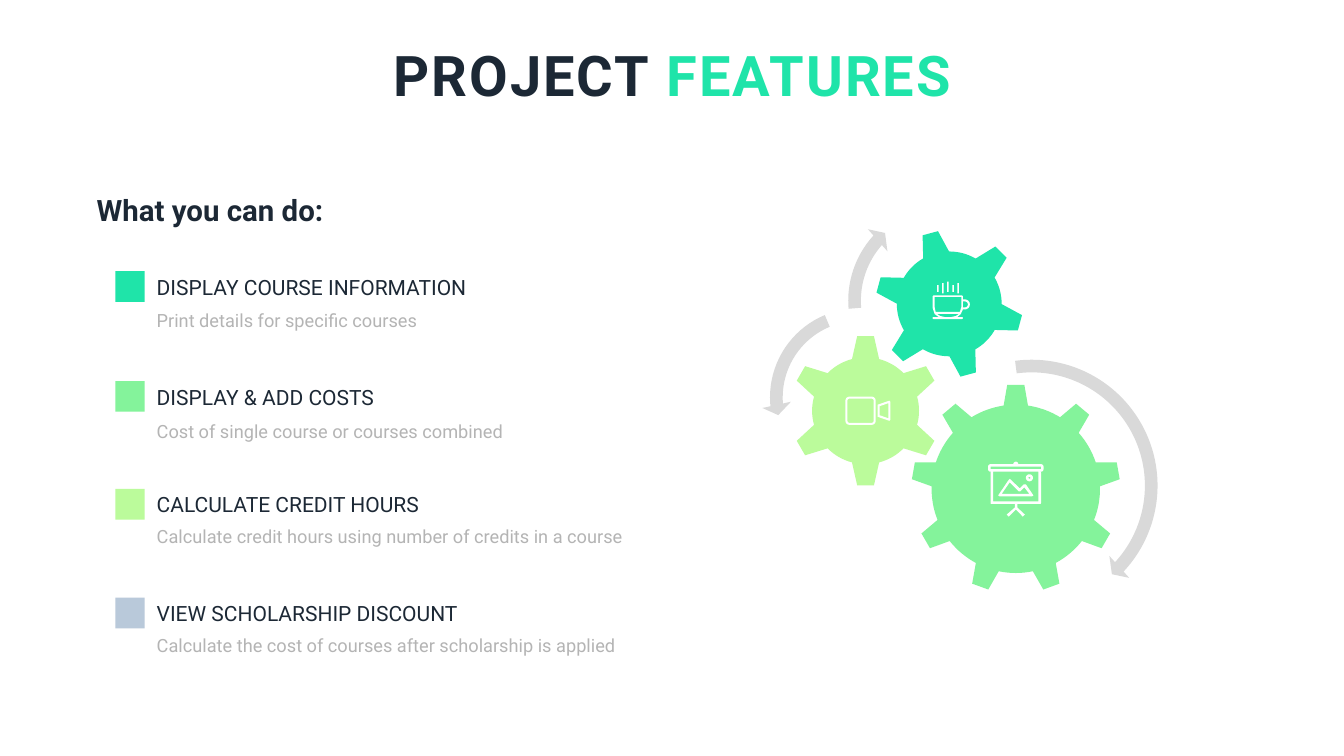
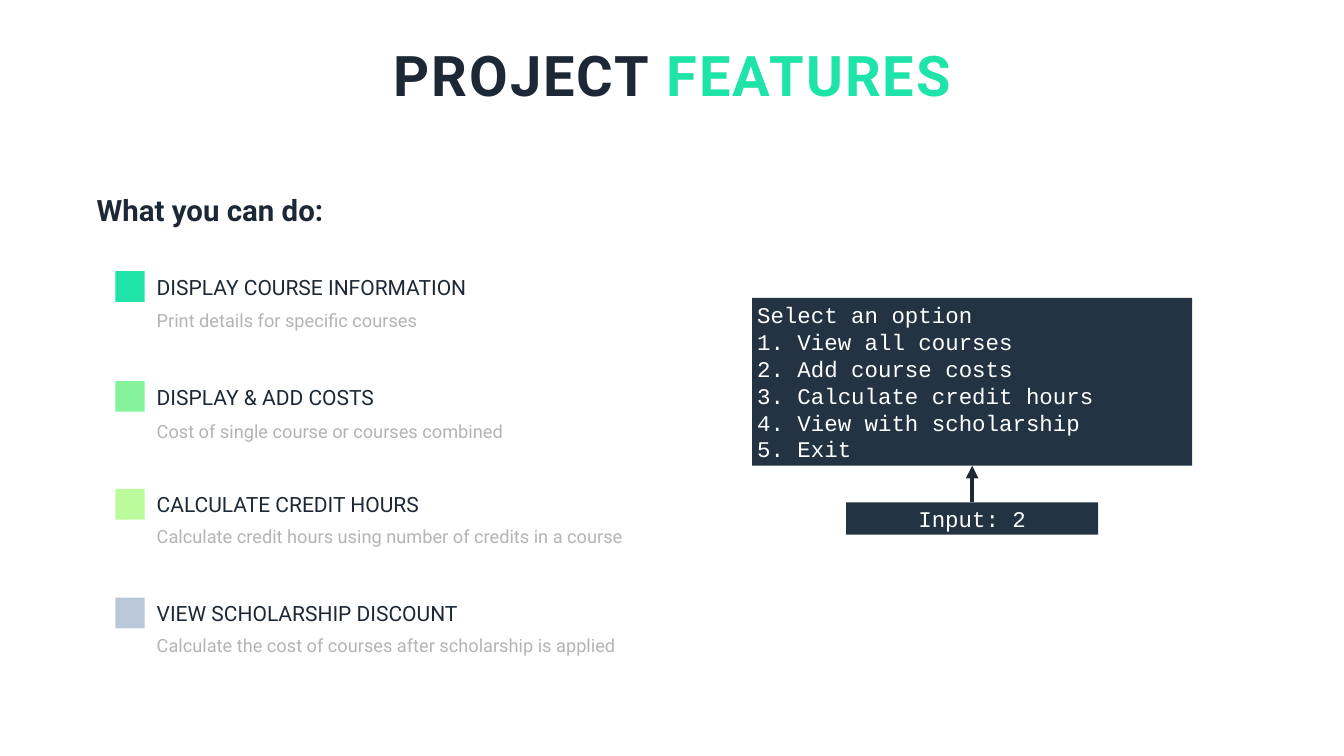
import math
from dataclasses import dataclass

import lxml.etree
import pptx
import pptx.dml.color
import pptx.enum.shapes
import pptx.enum.text
import pptx.oxml.ns
import pptx.util

Inches = pptx.util.Inches
Pt = pptx.util.Pt
SHAPES = pptx.enum.shapes.MSO_SHAPE
ALIGN = pptx.enum.text.PP_ALIGN
ANCHOR = pptx.enum.text.MSO_ANCHOR


@dataclass(frozen=True)
class Theme:
    font: str = "Roboto"
    code_font: str = "Courier New"
    ink: str = "1C2835"
    panel: str = "233343"
    teal: str = "1FE4A9"
    green: str = "84F39B"
    lime: str = "BBFB9B"
    steel: str = "B9C9DA"
    muted: str = "B4B4B4"
    arrow: str = "D9D9D9"
    white: str = "FFFFFF"
    title_size: int = 80
    heading_size: int = 42
    code_size: int = 32
    label_size: int = 30
    detail_size: int = 26


THEME = Theme()

# colour, label, label width, detail, top, gap from label to detail
FEATURES = [
    (THEME.teal, "DISPLAY COURSE INFORMATION", 6.44,
     "Print details for specific courses", 5.38, 0.52),
    (THEME.green, "DISPLAY & ADD COSTS", 4.57,
     "Cost of single course or courses combined", 7.56, 0.55),
    (THEME.lime, "CALCULATE CREDIT HOURS", 5.51,
     "Calculate credit hours using number of credits in a course", 9.7, 0.49),
    (THEME.steel, "VIEW SCHOLARSHIP DISCOUNT", 6.23,
     "Calculate the cost of courses after scholarship is applied", 11.86, 0.49),
]

MENU = ["Select an option", "1. View all courses", "2. Add course costs",
        "3. Calculate credit hours", "4. View with scholarship", "5. Exit"]


# ---- Shared helpers ----

def rgb(color):
    return pptx.dml.color.RGBColor.from_string(color)


def write_text(shape, lines, *, size, color=THEME.ink, font=THEME.font, bold=False,
               align=ALIGN.LEFT, anchor=ANCHOR.TOP, wrap=True, margins=True,
               line_points=None, spacing=None):
    """Each line is a string or a list of (text, color) runs."""
    frame = shape.text_frame
    frame.word_wrap = wrap
    frame.auto_size = pptx.enum.text.MSO_AUTO_SIZE.NONE
    frame.vertical_anchor = anchor
    if not margins:
        frame.margin_left = frame.margin_right = 0
        frame.margin_top = frame.margin_bottom = 0
    for index, line in enumerate(lines):
        paragraph = frame.paragraphs[0] if index == 0 else frame.add_paragraph()
        paragraph.alignment = align
        if line_points:
            paragraph.line_spacing = Pt(line_points)
        runs = [(line, color)] if isinstance(line, str) else line
        for text, run_color in runs:
            run = paragraph.add_run()
            run.text = text
            run.font.size = Pt(size)
            run.font.name = font
            run.font.bold = bold
            run.font.color.rgb = rgb(run_color)
            if spacing:
                run.font._element.set("spc", str(spacing * 100))


def add_text(slide, box, lines, **text_format):
    shape = slide.shapes.add_textbox(*map(Inches, box))
    write_text(shape, lines, **text_format)


def paint(shape, color):
    shape.shadow.inherit = False
    shape.fill.solid()
    shape.fill.fore_color.rgb = rgb(color)
    shape.line.fill.background()


def add_preset(shapes, kind, box, color):
    shape = shapes.add_shape(kind, *map(Inches, box))
    paint(shape, color)
    return shape


def add_outline(shapes, contours, left, top, color):
    """One filled freeform; a contour inside another cuts a hole."""
    contours = [[(round((left + x) * 1000), round((top + y) * 1000)) for x, y in contour]
                for contour in contours]
    builder = shapes.build_freeform(*contours[0][0], scale=Inches(1) / 1000)
    for index, contour in enumerate(contours):
        if index:
            builder.move_to(*contour[0])
        builder.add_line_segments(contour[1:], close=True)
    paint(builder.convert_to_shape(), color)


# ---- Contours, in inches ----

def arc(x, y, radius, start, end, steps=8):
    angles = [math.radians(start + (end - start) * i / steps) for i in range(steps + 1)]
    return [(x + radius * math.cos(a), y + radius * math.sin(a)) for a in angles]


def block(left, top, width, height, radius=0.0):
    right, bottom = left + width, top + height
    if not radius:
        return [(left, top), (right, top), (right, bottom), (left, bottom)]
    corners = [(right - radius, bottom - radius), (left + radius, bottom - radius),
               (left + radius, top + radius), (right - radius, top + radius)]
    return [point for i, (x, y) in enumerate(corners)
            for point in arc(x, y, radius, 90 * i, 90 * i + 90)]


def gear(teeth, first, body, tip, body_half, tip_half):
    """Teeth at equal angles, joined by arcs of the body; centre at 0, 0."""
    step = 360 / teeth
    points = []
    for i in range(teeth):
        middle = first + i * step
        points += arc(0, 0, tip, middle - tip_half, middle + tip_half, 1)
        points += arc(0, 0, body, middle + body_half, middle + step - body_half)
    return [points]


def camera_icon():
    return [
        block(0, 0, 0.6, 0.56, 0.08), block(0.04, 0.04, 0.52, 0.48, 0.04),
        [(0.64, 0.16), (0.87, 0.08), (0.89, 0.1), (0.89, 0.46), (0.87, 0.48), (0.64, 0.4)],
        [(0.68, 0.19), (0.85, 0.13), (0.85, 0.43), (0.68, 0.37)],
    ]


def easel_icon():
    return [
        # Knob, rail and board
        arc(0.55, 0.05, 0.05, 180, 360),
        block(0, 0.05, 1.1, 0.15, 0.05), block(0.05, 0.1, 1, 0.05),
        block(0.05, 0.2, 1, 0.64, 0.02), block(0.1, 0.2, 0.9, 0.59),
        # Legs
        [(0.53, 0.84), (0.53, 0.91), (0.37, 1.05), (0.41, 1.09), (0.55, 0.95),
         (0.69, 1.09), (0.73, 1.05), (0.58, 0.91), (0.58, 0.84)],
        # Sun and mountains
        arc(0.82, 0.32, 0.07, 0, 360, 24), arc(0.82, 0.32, 0.02, 0, 360, 12),
        [(0.2, 0.67), (0.41, 0.36), (0.43, 0.34), (0.63, 0.53), (0.71, 0.45),
         (0.75, 0.45), (0.9, 0.67), (0.87, 0.69), (0.23, 0.69)],
        [(0.27, 0.64), (0.43, 0.41), (0.61, 0.59), (0.64, 0.59), (0.72, 0.51), (0.82, 0.64)],
    ]


def cup_icon():
    steam = [(0.07, 0.2), (0.03, 0.23), (0, 0.2), (0.07, 0.2), (0.03, 0.23)]
    bars = [block(0.09 + 0.1 * i, top, 0.03, bottom - top)
            for i, (top, bottom) in enumerate(steam)]
    return bars + [
        # Body with its two openings
        [(0, 0.29), (0.02, 0.27), (0.58, 0.27), (0.6, 0.29), (0.6, 0.55),
         (0.56, 0.64), (0.49, 0.7), (0.12, 0.7), (0.04, 0.64), (0, 0.52)],
        [(0.04, 0.3), (0.57, 0.3), (0.57, 0.5), (0.54, 0.6), (0.06, 0.6), (0.04, 0.5)],
        [(0.09, 0.64), (0.52, 0.64), (0.46, 0.68), (0.37, 0.7), (0.24, 0.7), (0.15, 0.68)],
        # Handle and saucer
        [(0.6, 0.35)] + arc(0.64, 0.45, 0.1, -90, 90) + [(0.6, 0.55)],
        [(0.6, 0.39)] + arc(0.64, 0.45, 0.06, -90, 90) + [(0.6, 0.51)],
        block(0, 0.7, 0.6, 0.04, 0.02),
    ]


# ---- Regions ----

def add_title(slide, box):
    title = slide.shapes.title
    title.left, title.top, title.width, title.height = map(Inches, box)
    write_text(title, [[("PROJECT ", THEME.ink), ("FEATURES", THEME.teal)]],
               size=THEME.title_size, bold=True, align=ALIGN.CENTER,
               anchor=ANCHOR.MIDDLE, wrap=False, margins=False, spacing=3)


def add_feature(slide, left, top, color, label, label_width, detail, detail_gap):
    add_preset(slide.shapes, SHAPES.RECTANGLE, (left, top, 0.58, 0.61), color)
    add_text(slide, (left + 0.72, top + 0.01, label_width, 0.61), [label],
             size=THEME.label_size, wrap=False)
    add_text(slide, (left + 0.72, top + detail_gap, 9.5, 0.65), [detail],
             size=THEME.detail_size, color=THEME.muted, line_points=44.4)


def add_feature_list(slide, left, top):
    add_text(slide, (left, top, 4.74, 0.81), ["What you can do:"],
             size=THEME.heading_size, bold=True, wrap=False)
    for color, label, label_width, detail, feature_top, detail_gap in FEATURES:
        add_feature(slide, left + 0.47, feature_top, color, label, label_width,
                    detail, detail_gap)


def add_gears(slide, left, top):
    shapes = slide.shapes.add_group_shape().shapes
    # Centre, gear form, colour, icon and icon offset from the centre
    gears = [
        (5.04, 5.82, gear(9, -90, 1.67, 2.07, 8.3, 4.7), THEME.green,
         easel_icon(), -0.55, -0.54),
        (2.06, 4.27, gear(6, -90, 1.06, 1.49, 14.7, 6.4), THEME.lime,
         camera_icon(), -0.4, -0.28),
        (3.72, 2.15, gear(6, -45, 1.04, 1.46, 14.8, 6.2), THEME.teal,
         cup_icon(), -0.33, -0.44),
    ]
    for x, y, form, color, icon, icon_x, icon_y in gears:
        add_outline(shapes, form, left + x, top + y, color)
        add_outline(shapes, icon, left + x + icon_x, top + y + icon_y, THEME.white)

    # Place, size, band width, head angle, end angle, start angle, head width
    arrows = [
        (SHAPES.CIRCULAR_ARROW, 2.69, 3.09, 5.33, 0.047, 4.98, 42.87, 262.42, 0.055),
        (SHAPES.LEFT_CIRCULAR_ARROW, 0, 2.07, 3.87, 0.065, 7.17, 174.82, 247.3, 0.075),
        (SHAPES.CIRCULAR_ARROW, 1.55, 0, 4.17, 0.06, 6.57, 221.9, 175.14, 0.07),
    ]
    for kind, x, y, size, band, head, end, start, head_width in arrows:
        shape = add_preset(shapes, kind, (left + x, top + y, size, size), THEME.arrow)
        # An angle is kept in 60000ths of a degree, an adjustment in 100000ths
        values = [band, head * 0.6, end * 0.6, start * 0.6, head_width]
        for index, value in enumerate(values):
            shape.adjustments[index] = value


def add_console(slide, left, top, width):
    shapes = slide.shapes.add_group_shape().shapes
    menu_height, input_width, gap = 3.33, 5, 0.73
    center = left + width / 2
    menu_bottom = top + menu_height
    input_top = menu_bottom + gap
    panels = [
        ((left, top, width, menu_height), MENU, ALIGN.LEFT),
        ((center - input_width / 2, input_top, input_width, 0.64), ["Input: 2"], ALIGN.CENTER),
    ]
    for box, lines, align in panels:
        panel = add_preset(shapes, SHAPES.RECTANGLE, box, THEME.panel)
        write_text(panel, lines, size=THEME.code_size, color=THEME.white,
                   font=THEME.code_font, align=align, anchor=ANCHOR.MIDDLE)

    # Arrow from the input up to the menu
    arrow = shapes.add_connector(pptx.enum.shapes.MSO_CONNECTOR.STRAIGHT,
                                 *map(Inches, (center, input_top, center, menu_bottom)))
    arrow.line.color.rgb = rgb(THEME.ink)
    arrow.line.width = Pt(6)
    qualified = pptx.oxml.ns.qn
    lxml.etree.SubElement(arrow.line._get_or_add_ln(), qualified("a:tailEnd"), type="triangle")
    lxml.etree.SubElement(arrow._element.spPr, qualified("a:effectLst"))


def add_features_slide(presentation):
    slide = presentation.slides.add_slide(presentation.slide_layouts[5])
    add_title(slide, (7.67, 0.8, 11.33, 1.35))
    add_feature_list(slide, 1.82, 3.76)
    return slide


presentation = pptx.Presentation()
presentation.slide_width = Inches(26.66)
presentation.slide_height = Inches(15)
add_gears(add_features_slide(presentation), 15.11, 3.88)
add_console(add_features_slide(presentation), 14.92, 5.91, 8.73)
presentation.save("out.pptx")
